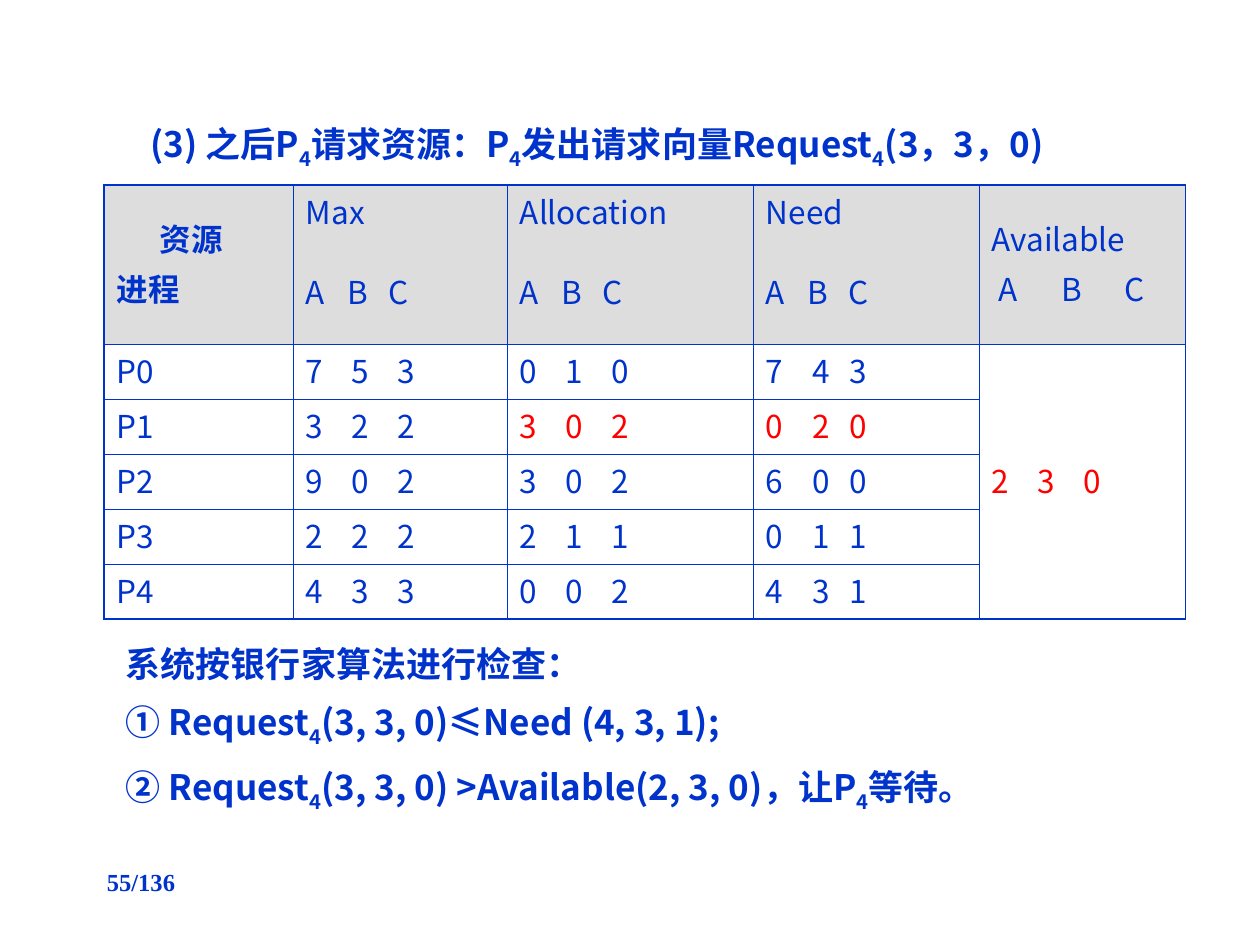
from lxml.etree import SubElement
from pptx import Presentation
from pptx.dml.color import RGBColor
from pptx.enum.text import MSO_ANCHOR, MSO_AUTO_SIZE, PP_ALIGN
from pptx.oxml.ns import qn
from pptx.util import Pt

BLUE = RGBColor(0x00, 0x33, 0xCC)
RED = RGBColor(0xFF, 0x00, 0x00)
GREY = RGBColor(0xDD, 0xDD, 0xDD)
SANS = "Noto Sans CJK SC"
THIN, THICK = 0.45, 1.08


def write_paragraph(paragraph, text, size, bold=False, color=BLUE, name=SANS,
                    indent=0, tabs=()):
    """Write text whose parts between underscores are subscripts."""
    for index, part in enumerate(text.split("_")):
        run = paragraph.add_run()
        run.text = part
        if index % 2:
            run.font._element.set("baseline", "-25000")
    properties = paragraph._p.get_or_add_pPr()
    if indent:
        properties.set("marL", str(Pt(indent)))
        properties.set("indent", "0")
    if tabs:
        tab_list = SubElement(properties, qn("a:tabLst"))
        for stop in tabs:
            SubElement(tab_list, qn("a:tab"), pos=str(Pt(indent + stop)), algn="l")
    font = paragraph.font
    font.size, font.bold, font.name = Pt(size), bold, name
    font.color.rgb = color
    SubElement(font._element, qn("a:ea"), typeface=SANS)


def draw_border(cell, side, width):
    line = SubElement(cell._tc.get_or_add_tcPr(), qn(f"a:ln{side}"), w=str(Pt(width)))
    if width:
        fill = SubElement(line, qn("a:solidFill"))
        SubElement(fill, qn("a:srgbClr"), val=str(BLUE))
    else:
        SubElement(line, qn("a:noFill"))


presentation = Presentation()
presentation.slide_width, presentation.slide_height = Pt(720), Pt(540)
slide = presentation.slides.add_slide(presentation.slide_layouts[5])

# Title
title = slide.shapes.title
title.left, title.top, title.width, title.height = Pt(36.7), Pt(58.3), Pt(635.8), Pt(48.2)
title.text_frame.word_wrap = True
title.text_frame.auto_size = MSO_AUTO_SIZE.SHAPE_TO_FIT_TEXT
title.text_frame.vertical_anchor = MSO_ANCHOR.TOP
heading = title.text_frame.paragraphs[0]
heading.alignment = PP_ALIGN.JUSTIFY
heading.line_spacing = 1.3
write_paragraph(heading, "(3) 之后P_4_请求资源：P_4_发出请求向量Request_4_(3，3，0)",
                20, bold=True, indent=42)

# Resource table: a tab separates the amounts of A, B and C
LETTERS = "A\tB\tC"
resource_rows = [
    ["资源\n进程", "Max", "Allocation", "Need", "Available\n" + LETTERS],
    ["", LETTERS, LETTERS, LETTERS, ""],
    ["P0", "7\t5\t3", "0\t1\t0", "7\t4\t3", "2\t3\t0"],
    ["P1", "3\t2\t2", "3\t0\t2", "0\t2\t0", ""],
    ["P2", "9\t0\t2", "3\t0\t2", "6\t0\t0", ""],
    ["P3", "2\t2\t2", "2\t1\t1", "0\t1\t1", ""],
    ["P4", "4\t3\t3", "0\t0\t2", "4\t3\t1", ""],
]
changed_cells = {(3, 2), (3, 3), (2, 4)}
line_indents = {"资源": 24.5}
NEED, AVAILABLE = 3, 4
column_widths = [108, 122.3, 140.6, 129.1, 117.8]
row_heights = [23.8, 52.6] + [31.4] * 5

table = slide.shapes.add_table(
    len(row_heights), len(column_widths), Pt(59.6), Pt(105.8),
    Pt(sum(column_widths)), Pt(sum(row_heights))).table
table.first_row = table.horz_banding = False
for column, width in zip(table.columns, column_widths):
    column.width = Pt(width)
for row, height in zip(table.rows, row_heights):
    row.height = Pt(height)
for top, bottom, column in [(0, 1, 0), (0, 1, AVAILABLE), (2, 6, AVAILABLE)]:
    table.cell(top, column).merge(table.cell(bottom, column))

for r, texts in enumerate(resource_rows):
    for c, text in enumerate(texts):
        cell = table.cell(r, c)
        if cell.is_spanned:
            continue
        last_row = r + (cell.span_height if cell.is_merge_origin else 1) - 1
        draw_border(cell, "L", THICK if c == 0 else THIN)
        draw_border(cell, "R", THICK if c == AVAILABLE else THIN)
        draw_border(cell, "T", {0: THICK, 1: 0}.get(r, THIN))
        draw_border(cell, "B", {0: 0, 6: THICK}.get(last_row, THIN))
        if r < 2:
            cell.fill.solid()
            cell.fill.fore_color.rgb = GREY
        else:
            cell.fill.background()
        cell.vertical_anchor = MSO_ANCHOR.MIDDLE
        for index, line in enumerate(text.split("\n")):
            frame = cell.text_frame
            paragraph = frame.add_paragraph() if index else frame.paragraphs[0]
            paragraph.line_spacing = Pt(24)
            if index:
                paragraph.space_before = Pt(4.5)
            if line == LETTERS:
                tabs = (23.5, 47)
            elif "\t" in line:
                tabs = (26.3, 48 if c == NEED else 52.6)
            else:
                tabs = ()
            indent = 4 if line == LETTERS and c == AVAILABLE else line_indents.get(line, 0)
            write_paragraph(paragraph, line, 18, bold=r == 0 and c == 0,
                            color=RED if (r, c) in changed_cells else BLUE,
                            indent=indent, tabs=tabs)

# Banker's algorithm check
check = slide.shapes.add_textbox(Pt(64.8), Pt(355), Pt(619.2), Pt(113.8)).text_frame
check.word_wrap = True
check.auto_size = MSO_AUTO_SIZE.SHAPE_TO_FIT_TEXT
check_lines = [
    ("系统按银行家算法进行检查：", "Arial"),
    ("① Request_4_(3, 3, 0)≤Need (4, 3, 1);", SANS),
    ("② Request_4_(3, 3, 0) >Available(2, 3, 0)，让P_4_等待。", SANS),
]
for index, (text, name) in enumerate(check_lines):
    paragraph = check.add_paragraph() if index else check.paragraphs[0]
    paragraph.alignment = PP_ALIGN.JUSTIFY
    paragraph.line_spacing = 1.35
    write_paragraph(paragraph, text, 20, bold=True, name=name)

# Page number
page = slide.shapes.add_textbox(Pt(54), Pt(491.8), Pt(162), Pt(36)).text_frame
page.word_wrap = True
write_paragraph(page.paragraphs[0], "55/136", 14, bold=True, name="Times New Roman")

presentation.save("out.pptx")
